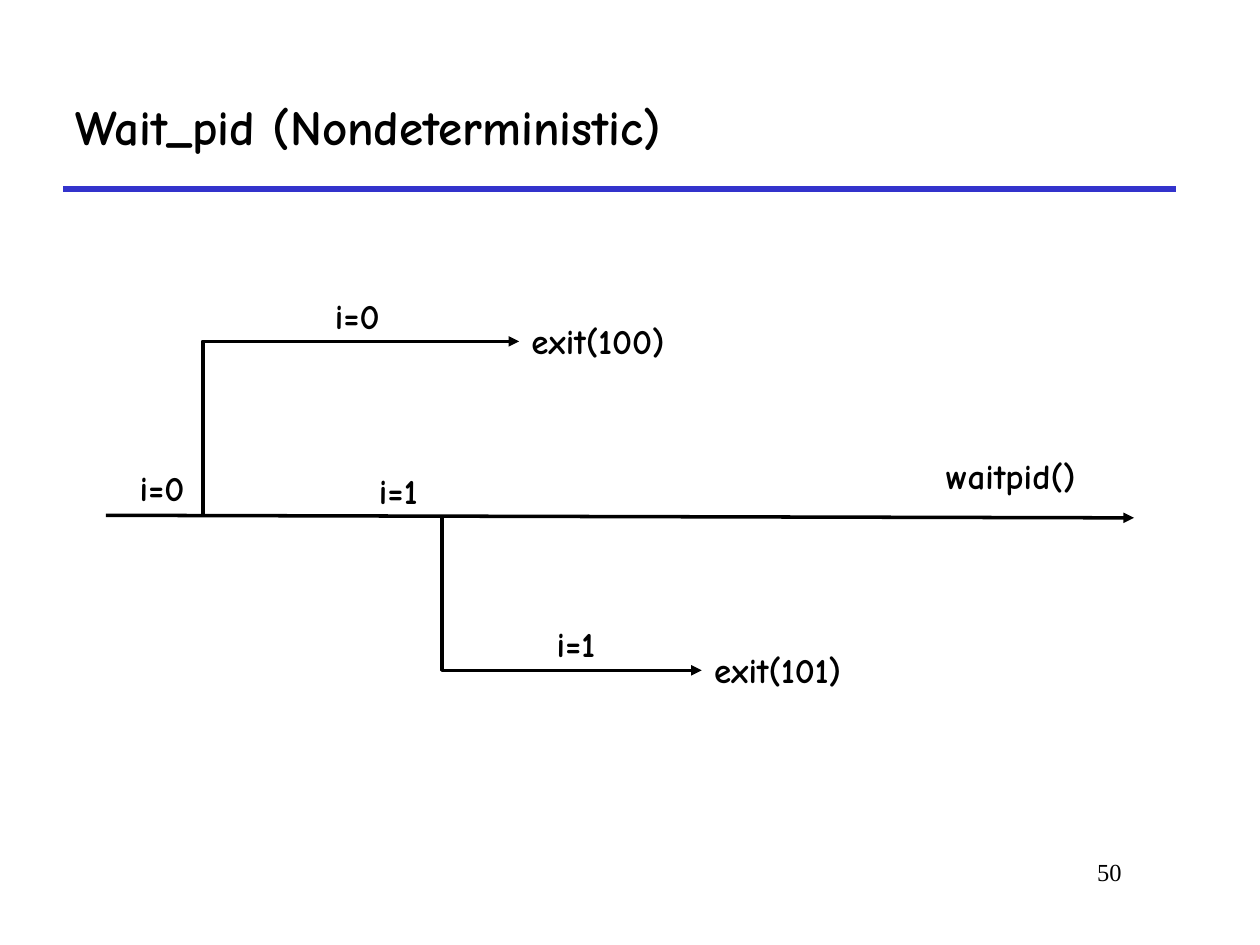
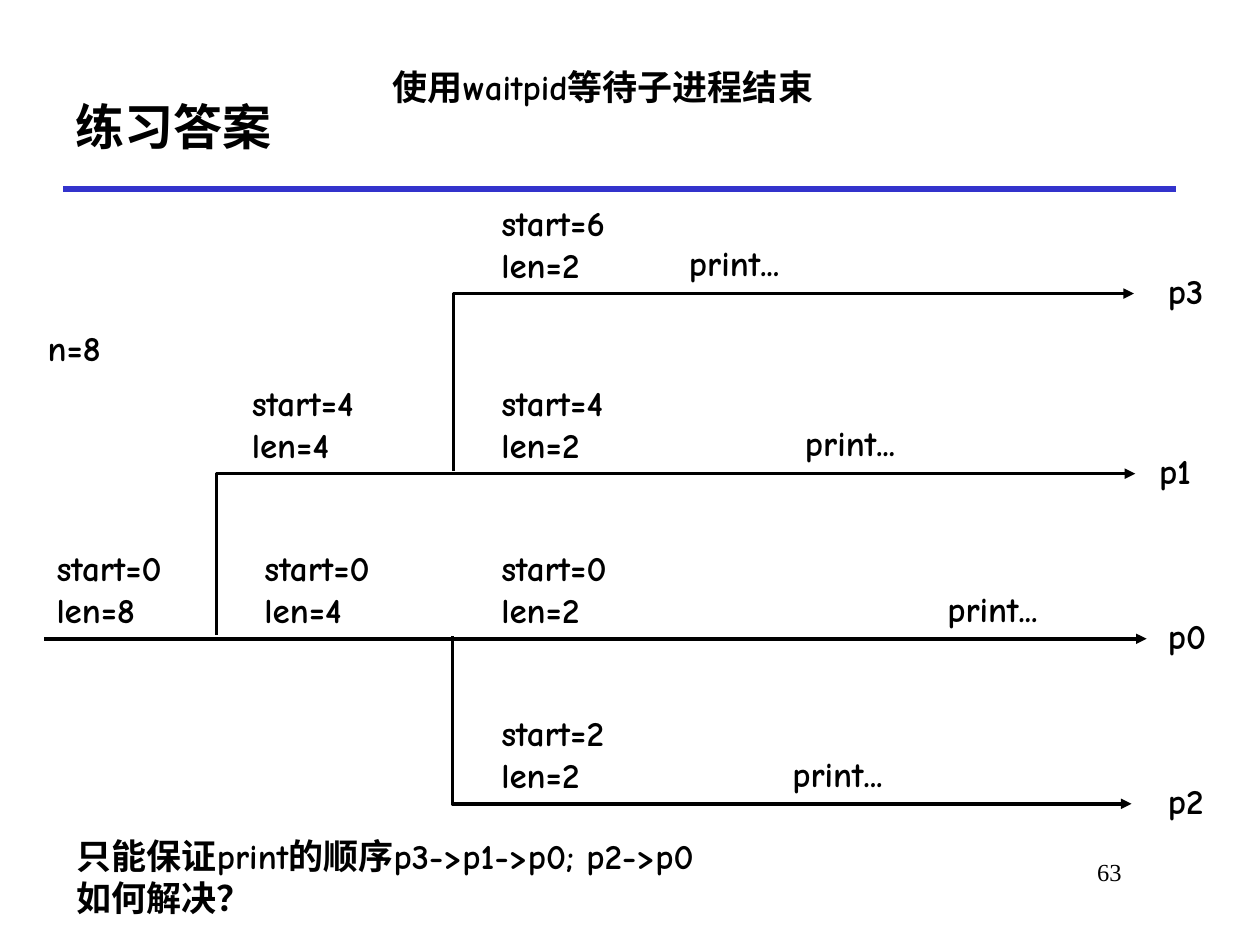
from dataclasses import dataclass

from lxml.etree import SubElement
from pptx import Presentation
from pptx.dml.color import RGBColor
from pptx.enum.shapes import MSO_CONNECTOR
from pptx.enum.text import MSO_ANCHOR, PP_ALIGN
from pptx.oxml.ns import qn
from pptx.presentation import Presentation as Deck
from pptx.slide import Slide
from pptx.util import Inches, Pt


@dataclass(frozen=True)
class Theme:
    ink: RGBColor = RGBColor(0x00, 0x00, 0x00)
    rule: RGBColor = RGBColor(0x33, 0x33, 0xCC)
    font: str = "Comic Neue"
    number_font: str = "Times New Roman"
    title_size: int = 28
    label_size: int = 20
    number_size: int = 14
    rule_width: int = 3
    flow_width: int = 2


@dataclass(frozen=True)
class Label:
    text: str
    left: float
    top: float
    width: float = 1.5
    height: float = 0.43


@dataclass(frozen=True)
class Flow:
    start: tuple[float, float]
    end: tuple[float, float]
    bent: bool = True


@dataclass(frozen=True)
class State:
    start: int
    length: int
    left: float


@dataclass(frozen=True)
class Process:
    name: str
    origin: tuple[float, float]
    end: tuple[float, float]
    states: tuple[State, ...]
    print_left: float
    name_left: float = 9.17


THEME = Theme()
STATE_RISE = 0.78
PRINT_RISE = 0.46
NAME_RISE = 0.24
LAST_STATE_LEFT = 3.88

FORK_FLOWS = (
    Flow((0.84, 4.09), (9, 4.11), bent=False),
    Flow((1.61, 4.08), (4.12, 2.71)),
    Flow((3.51, 4.09), (5.57, 5.32)),
)
FORK_LABELS = (
    Label("i=0", 1.01, 3.65),
    Label("i=1", 2.91, 3.68),
    Label("exit(100)", 4.12, 2.49),
    Label("exit(101)", 5.57, 5.1),
    Label("i=0", 2.56, 2.29),
    Label("i=1", 4.32, 4.89),
    Label("waitpid()", 7.41, 3.56),
)

PROCESSES = (
    Process("p0", (0.35, 5.07), (9.1, 5.07),
            (State(0, 8, 0.35), State(0, 4, 2), State(0, 2, LAST_STATE_LEFT)), 7.42),
    Process("p1", (1.72, 5.04), (9.01, 3.76),
            (State(4, 4, 1.9), State(4, 2, LAST_STATE_LEFT)), 6.29, 9.1),
    Process("p2", (3.59, 5.05), (8.98, 6.38), (State(2, 2, LAST_STATE_LEFT),), 6.19),
    Process("p3", (3.6, 3.74), (9, 2.33), (State(6, 2, LAST_STATE_LEFT),), 5.37),
)
ANSWER_NOTES = (
    Label("使用waitpid等待子进程结束", 3.02, 0.47, 6.08),
    Label("n=8", 0.28, 2.54),
    Label("只能保证print的顺序p3->p1->p0; p2->p0\n如何解决？", 0.51, 6.57, 7.86, 0.76),
)


def add_text(slide: Slide, label: Label, *, size: int = THEME.label_size,
             font: str = THEME.font, bold: bool = True,
             align: PP_ALIGN = PP_ALIGN.LEFT,
             anchor: MSO_ANCHOR = MSO_ANCHOR.TOP) -> None:
    box = slide.shapes.add_textbox(Inches(label.left), Inches(label.top),
                                   Inches(label.width), Inches(label.height))
    frame = box.text_frame
    frame.word_wrap = True
    frame.vertical_anchor = anchor
    frame.text = label.text
    for paragraph in frame.paragraphs:
        paragraph.alignment = align
        paragraph.font.size = Pt(size)
        paragraph.font.name = font
        paragraph.font.bold = bold
        paragraph.font.color.rgb = THEME.ink


def add_line(slide: Slide, flow: Flow, *, color: RGBColor = THEME.ink,
             width: int = THEME.flow_width, arrow: bool = True) -> None:
    kind = MSO_CONNECTOR.ELBOW if flow.bent else MSO_CONNECTOR.STRAIGHT
    points = [Inches(value) for value in (*flow.start, *flow.end)]
    connector = slide.shapes.add_connector(kind, *points)
    connector.line.color.rgb = color
    connector.line.width = Pt(width)
    properties = connector._element.spPr
    if flow.bent:
        adjustments = properties.find(qn("a:prstGeom")).find(qn("a:avLst"))
        SubElement(adjustments, qn("a:gd"), name="adj1", fmla="val 0")
    if arrow:
        SubElement(properties.find(qn("a:ln")), qn("a:tailEnd"), type="triangle")
    SubElement(properties, qn("a:effectLst"))


def add_base(deck: Deck, title: str, number: int) -> Slide:
    slide = deck.slides.add_slide(deck.slide_layouts[6])
    add_line(slide, Flow((0.5, 1.5), (9.33, 1.5), bent=False),
             color=THEME.rule, width=THEME.rule_width, arrow=False)
    add_text(slide, Label(str(number), 7.58, 6.75, 1.42, 0.5),
             size=THEME.number_size, font=THEME.number_font, bold=False,
             align=PP_ALIGN.RIGHT)
    add_text(slide, Label(title, 0.5, 0.5, 8.83, 1),
             size=THEME.title_size, anchor=MSO_ANCHOR.MIDDLE)
    return slide


def add_process(slide: Slide, process: Process) -> None:
    level = process.end[1]
    add_line(slide, Flow(process.origin, process.end, bent=process.origin[1] != level))
    for state in process.states:
        add_text(slide, Label(f"start={state.start}\nlen={state.length}",
                              state.left, level - STATE_RISE, 1.22, 0.76))
    add_text(slide, Label("print...", process.print_left, level - PRINT_RISE, 1.9))
    add_text(slide, Label(process.name, process.name_left, level - NAME_RISE, 0.51))


def build_fork_slide(deck: Deck) -> None:
    slide = add_base(deck, "Wait_pid (Nondeterministic)", 50)
    for flow in FORK_FLOWS:
        add_line(slide, flow)
    for label in FORK_LABELS:
        add_text(slide, label)


def build_answer_slide(deck: Deck) -> None:
    slide = add_base(deck, "练习答案", 63)
    for process in PROCESSES:
        add_process(slide, process)
    for note in ANSWER_NOTES:
        add_text(slide, note)


def main() -> None:
    deck = Presentation()
    deck.slide_width = Inches(10)
    deck.slide_height = Inches(7.5)
    build_fork_slide(deck)
    build_answer_slide(deck)
    deck.save("out.pptx")


if __name__ == "__main__":
    main()
